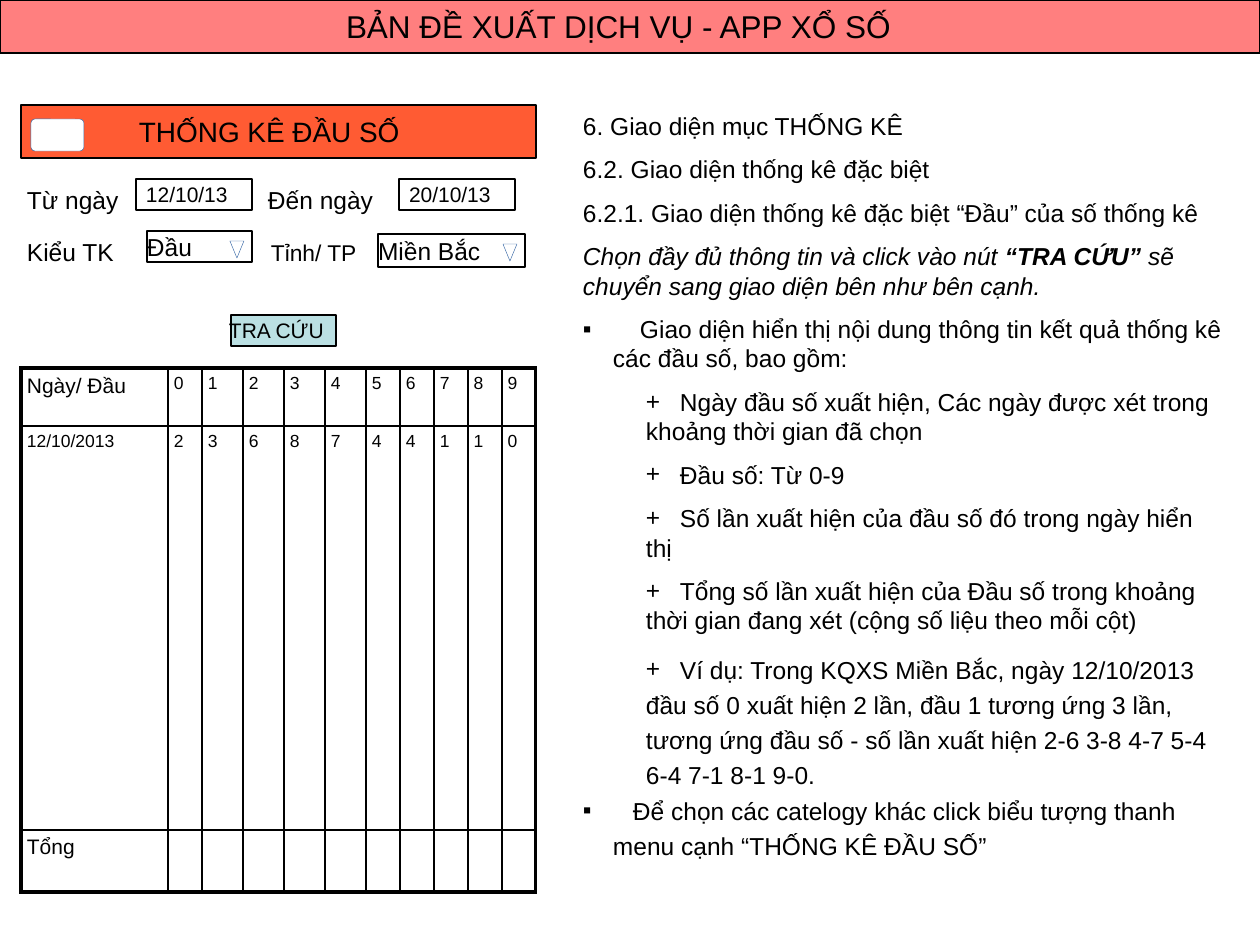
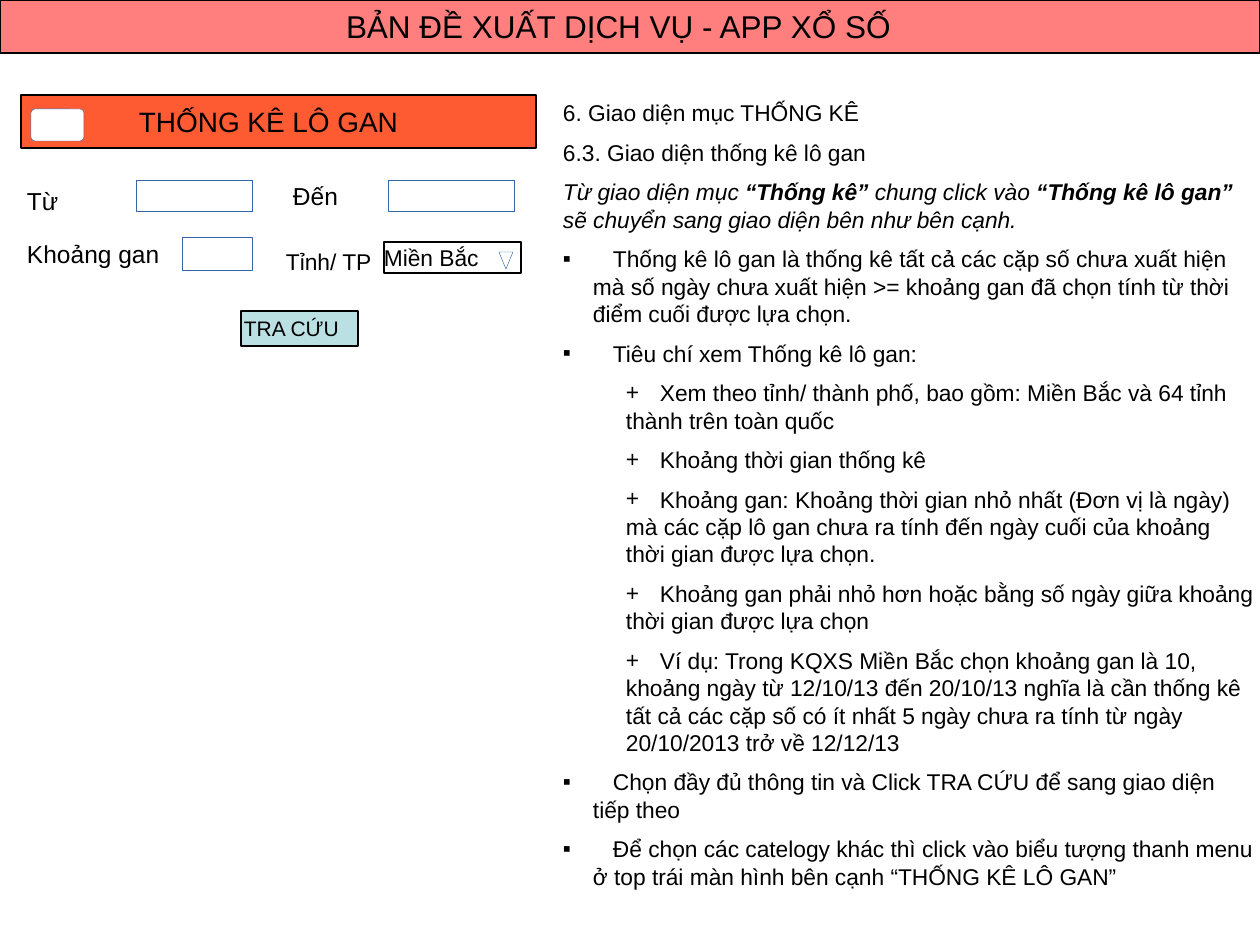
from lxml.etree import SubElement
from pptx import Presentation
from pptx.dml.color import RGBColor
from pptx.enum.shapes import MSO_SHAPE
from pptx.enum.text import MSO_ANCHOR, MSO_AUTO_SIZE, PP_ALIGN
from pptx.oxml.ns import qn
from pptx.util import Emu, Pt

SCALE = 914400 // 126
BLACK, WHITE, RED, ORANGE = "000000", "FFFFFF", "FF0000", "FF3300"
BUTTON, THIN_BLUE = "BBE0E3", "3465A4"
DECK_TITLE = "BẢN ĐỀ XUẤT DỊCH VỤ - APP XỔ SỐ"

# Paragraph kinds of the description: level, bullet, left margin, indent, tab stop
KINDS = {
    "plain": (0, None, 0, 0, None),
    "note": (0, None, 0, 0, None),
    "square": (0, "▪", 30, -30, 50),
    "wide": (0, "▪", 30, -30, 57),
    "plus": (1, "+", 63, 0, 97),
}


def px(length):
    return Emu(length * SCALE)


def color(code):
    return RGBColor.from_string(code)


def apply(target, values):
    for name, value in values.items():
        setattr(target, name, value)


class Mockup:
    """Holds the shared style and the slide being drawn."""

    font = "Arial"

    def __init__(self, deck):
        self.deck = deck
        self.page = None

    def new_page(self):
        self.page = self.deck.slides.add_slide(self.deck.slide_layouts[1])
        self.box(0, 0, 1260, 53, RED, opacity=50)
        title = self.page.shapes.title
        self.page.shapes._spTree.append(title._element)  # in front of its band
        self.place(title, 346, 2, 568, 48)
        self.frame(title, 0, MSO_ANCHOR.MIDDLE, False)
        self.add_words(title.text_frame.paragraphs[0], DECK_TITLE, 18)

    def place(self, item, left, top, width, height):
        places = dict(left=left, top=top, width=width, height=height)
        apply(item, {name: px(value) for name, value in places.items()})

    def frame(self, item, inset, anchor, wrap):
        apply(item.text_frame, dict(
            margin_left=px(inset), margin_right=px(inset),
            margin_top=px(inset), margin_bottom=px(inset),
            vertical_anchor=anchor, word_wrap=wrap,
            auto_size=MSO_AUTO_SIZE.NONE))

    def add_words(self, para, text, size, italic=False):
        """Add text to a paragraph; parts between asterisks are bold."""
        para.alignment = PP_ALIGN.LEFT
        for number, part in enumerate(text.split("*")):
            span = para.add_run()
            span.text = part
            apply(span.font, dict(name=self.font, size=Pt(size),
                                  bold=number % 2 == 1, italic=italic))
            span.font.color.rgb = color(BLACK)

    def box(self, left, top, width, height, fill=WHITE, line=BLACK,
            weight=0.75, preset=MSO_SHAPE.RECTANGLE, opacity=100):
        shape = self.page.shapes.add_shape(
            preset, px(left), px(top), px(width), px(height))
        shape.shadow.inherit = False
        shape.fill.solid()
        shape.fill.fore_color.rgb = color(fill)
        shape.line.color.rgb = color(line)
        shape.line.width = Pt(weight)
        if opacity < 100:
            tone = shape._element.spPr.find(qn("a:solidFill"))[0]
            SubElement(tone, qn("a:alpha"), val=str(opacity * 1000))
        return shape

    def text(self, left, top, width, height, words, size, inset=0,
             anchor=MSO_ANCHOR.MIDDLE, wrap=False):
        item = self.page.shapes.add_textbox(
            px(left), px(top), px(width), px(height))
        self.frame(item, inset, anchor, wrap)
        self.add_words(item.text_frame.paragraphs[0], words, size)

    def label(self, left, top, width, words, size=14):
        self.text(left, top, width, 40, words, size, 6, MSO_ANCHOR.TOP, True)

    def field(self, left, top, width, height, words, size=12, shift=0,
              fill=WHITE):
        self.box(left, top, width, height, fill)
        self.text(left + shift, top, width - shift, height, words, size)

    def empty_field(self, left, top, width, height):
        self.box(left, top, width, height, line=THIN_BLUE, weight=0.25)

    def dropdown(self, left, top, width, height, words, size=14):
        self.field(left, top, width, height, words, size)
        self.box(left + width - 22, top + 10, 14, 17, line=THIN_BLUE,
                 weight=0.25, preset=MSO_SHAPE.FLOWCHART_MERGE)

    def app_header(self, top, words):
        self.box(21, top, 515, 53, ORANGE, opacity=80)
        self.text(139, top + 5, 278, 43, words, 16)
        menu = self.box(31, top + 14, 53, 32, line=THIN_BLUE, weight=0.25,
                        preset=MSO_SHAPE.ROUNDED_RECTANGLE)
        menu.adjustments[0] = 0.13

    def description(self, left, top, width, height, size, gap, items):
        body = self.page.placeholders[1]
        self.place(body, left, top, width, height)
        self.frame(body, 6, MSO_ANCHOR.TOP, True)
        for number, (kind, words, *extra) in enumerate(items):
            frame = body.text_frame
            para = frame.add_paragraph() if number else frame.paragraphs[0]
            level, bullet, margin, indent, stop = KINDS[kind]
            apply(para, dict(level=level, line_spacing=1.0,
                             space_before=Pt(gap), space_after=Pt(0)))
            apply(para, extra[0] if extra else {})
            props = para._p.get_or_add_pPr()
            props.set("marL", str(px(margin)))
            props.set("indent", str(px(indent)))
            if bullet:
                SubElement(props, qn("a:buFont"), typeface=self.font)
                SubElement(props, qn("a:buChar"), char=bullet)
                tabs = SubElement(props, qn("a:tabLst"))
                SubElement(tabs, qn("a:tab"), pos=str(px(stop)), algn="l")
                words = "\t" + words
            else:
                SubElement(props, qn("a:buNone"))
            self.add_words(para, words, size, kind == "note")

    def table(self, left, top, widths, heights, rows):
        graphic = self.page.shapes.add_table(
            len(heights), len(widths), px(left), px(top),
            px(sum(widths)), px(sum(heights)))
        grid = graphic.table
        apply(grid, dict(first_row=False, horz_banding=False))
        for column, width in zip(grid.columns, widths):
            column.width = px(width)
        for row, height in zip(grid.rows, heights):
            row.height = px(height)
        for r, row in enumerate(rows):
            for c, words in enumerate(row):
                cell = grid.cell(r, c)
                apply(cell, dict(margin_left=px(6), margin_right=px(6),
                                 margin_top=px(6), margin_bottom=px(6)))
                outer = dict(lnL=c == 0, lnR=c == len(widths) - 1,
                             lnT=r == 0, lnB=r == len(heights) - 1)
                self.borders(cell, outer)
                cell.fill.background()
                if words:
                    size = 12 if words.isalpha() or "/ " in words else 10
                    self.add_words(cell.text_frame.paragraphs[0], words, size)

    def borders(self, cell, outer):
        props = cell._tc.get_or_add_tcPr()
        for side, is_outer in outer.items():
            weight = Pt(2.25 if is_outer else 1)
            line = SubElement(props, qn("a:" + side), w=str(weight))
            fill = SubElement(line, qn("a:solidFill"))
            SubElement(fill, qn("a:srgbClr"), val=BLACK)


deck = Presentation()
apply(deck, dict(slide_width=px(1260), slide_height=px(945)))
mockup = Mockup(deck)

# Slide 1: statistics by first digit
mockup.new_page()
mockup.table(
    21, 368, [147, 34] + [41] * 4 + [34] * 5, [58, 404, 62],
    [["Ngày/ Đầu", *"0123456789"],
     ["12/10/2013", *"2368744110"],
     ["Tổng"] + [""] * 10])
mockup.description(577, 105, 651, 760, 14, 8, [
    ("plain", "6. Giao diện mục THỐNG KÊ"),
    ("plain", "6.2. Giao diện thống kê đặc biệt"),
    ("plain", "6.2.1. Giao diện thống kê đặc biệt “Đầu” của số thống kê"),
    ("note", "Chọn đầy đủ thông tin và click vào nút* “TRA CỨU” *sẽ chuyển "
             "sang giao diện bên như bên cạnh."),
    ("wide", "Giao diện hiển thị nội dung thông tin kết quả thống kê các "
             "đầu số, bao gồm:"),
    ("plus", "Ngày đầu số xuất hiện, Các ngày được xét trong khoảng thời "
             "gian đã chọn"),
    ("plus", "Đầu số: Từ 0-9"),
    ("plus", "Số lần xuất hiện của đầu số đó trong ngày hiển thị"),
    ("plus", "Tổng số lần xuất hiện của Đầu số trong khoảng thời gian đang "
             "xét (cộng số liệu theo mỗi cột)"),
    ("plus", "Ví dụ: Trong KQXS Miền Bắc, ngày 12/10/2013 đầu số 0 xuất hiện "
             "2 lần, đầu 1 tương ứng 3 lần, tương ứng đầu số - số lần xuất "
             "hiện 2-6 3-8 4-7 5-4 6-4 7-1 8-1 9-0.", dict(line_spacing=1.2)),
    ("square", "Để chọn các catelogy khác click biểu tượng thanh menu cạnh "
               "“THỐNG KÊ ĐẦU SỐ”", dict(line_spacing=1.2, space_before=Pt(0))),
])
mockup.app_header(105, "THỐNG KÊ ĐẦU SỐ")
mockup.label(21, 179, 126, "Từ ngày")
mockup.label(262, 179, 158, "Đến ngày")
mockup.field(136, 179, 116, 31, "12/10/13", shift=10)
mockup.field(399, 179, 116, 31, "20/10/13", shift=10)
mockup.field(231, 315, 105, 31, "TRA CỨU", shift=-2, fill=BUTTON)
mockup.label(21, 231, 126, "Kiểu TK")
mockup.dropdown(147, 231, 105, 31, "Đầu")
mockup.label(265, 233, 136, "Tỉnh/ TP", 13)
mockup.dropdown(378, 234, 147, 33, "Miền Bắc")

# Slide 2: statistics of overdue pairs
mockup.new_page()
mockup.description(557, 93, 703, 793, 13, 7, [
    ("plain", "6. Giao diện mục THỐNG KÊ"),
    ("plain", "6.3. Giao diện thống kê lô gan"),
    ("note", "Từ giao diện mục *“Thống kê” *chung click vào* “Thống kê lô "
             "gan” *sẽ chuyển sang giao diện bên như bên cạnh."),
    ("square", "Thống kê lô gan là thống kê tất cả các cặp số chưa xuất hiện "
               "mà số ngày chưa xuất hiện >= khoảng gan đã chọn tính từ thời "
               "điểm cuối được lựa chọn."),
    ("square", "Tiêu chí xem Thống kê lô gan:"),
    ("plus", "Xem theo tỉnh/ thành phố, bao gồm: Miền Bắc và 64 tỉnh thành "
             "trên toàn quốc"),
    ("plus", "Khoảng thời gian thống kê"),
    ("plus", "Khoảng gan: Khoảng thời gian nhỏ nhất (Đơn vị là ngày) mà các "
             "cặp lô gan chưa ra tính đến ngày cuối của khoảng thời gian "
             "được lựa chọn."),
    ("plus", "Khoảng gan phải nhỏ hơn hoặc bằng số ngày giữa khoảng thời "
             "gian được lựa chọn"),
    ("plus", "Ví dụ: Trong KQXS Miền Bắc chọn khoảng gan là 10, khoảng ngày "
             "từ 12/10/13 đến 20/10/13 nghĩa là cần thống kê tất cả các cặp "
             "số có ít nhất 5 ngày chưa ra tính từ ngày 20/10/2013 trở về "
             "12/12/13"),
    ("square", "Chọn đầy đủ thông tin và Click TRA CỨU để sang giao diện "
               "tiếp theo"),
    ("square", "Để chọn các catelogy khác thì click vào biểu tượng thanh "
               "menu ở top trái màn hình bên cạnh “THỐNG KÊ LÔ GAN”"),
])
mockup.field(241, 311, 117, 35, "TRA CỨU", shift=3, fill=BUTTON)
mockup.label(21, 180, 63, "Từ")
mockup.label(287, 175, 73, "Đến")
mockup.empty_field(136, 180, 116, 31)
mockup.empty_field(388, 180, 126, 31)
mockup.empty_field(182, 237, 70, 33)
mockup.label(21, 233, 168, "Khoảng gan")
mockup.app_header(95, "THỐNG KÊ LÔ GAN")
mockup.label(280, 242, 136, "Tỉnh/ TP", 13)
mockup.dropdown(384, 242, 137, 31, "Miền Bắc", 13)

deck.save("out.pptx")
